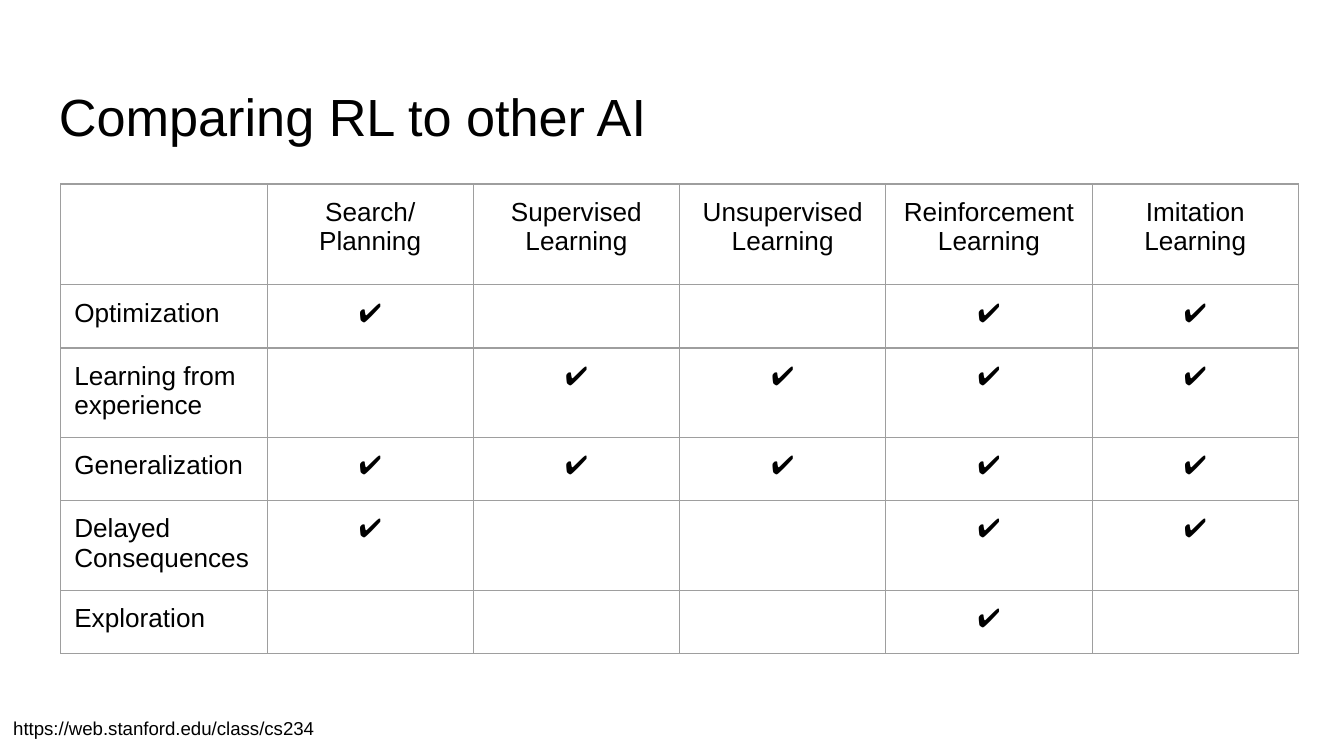
from pptx import Presentation
from pptx.dml.color import RGBColor
from pptx.enum.text import PP_ALIGN
from pptx.oxml import parse_xml
from pptx.oxml.ns import nsdecls
from pptx.util import Pt

COLORS = {"text": "000000", "line": "9E9E9E", "page": "FFFFFF"}
INSET = 7.2
HEADS = ["", "Search/ Planning", "Supervised\nLearning", "Unsupervised Learning",
         "Reinforcement Learning", "Imitation Learning"]
# Each row: label, height, columns that hold a check mark
TRAITS = [
    ("Optimization", 33.8, {1, 4, 5}),
    ("Learning from experience", 45.4, {2, 3, 4, 5}),
    ("Generalization", 33.8, {1, 2, 3, 4, 5}),
    ("Delayed Consequences", 45.4, {1, 4, 5}),
    ("Exploration", 33.8, {4}),
]


def set_all(target, values):
    for name, value in values.items():
        setattr(target, name, value)


def write(frame, text, size, align=PP_ALIGN.LEFT, top=INSET):
    """Fill a text frame; each line of text becomes a paragraph."""
    set_all(frame, {"word_wrap": True, "margin_left": Pt(INSET), "margin_right": Pt(INSET),
                    "margin_top": Pt(top), "margin_bottom": Pt(INSET)})
    frame.text = text
    for para in frame.paragraphs:
        para.alignment = align
        for run in para.runs:
            set_all(run.font, {"name": "Arial", "size": Pt(size)})
            run.font.color.rgb = RGBColor.from_string(COLORS["text"])


def add_label(slide, box, text, size, top=INSET):
    shape = slide.shapes.add_textbox(*map(Pt, box))
    write(shape.text_frame, text, size, top=top)


def add_edges(cell):
    props = cell._tc.get_or_add_tcPr()
    for index, side in enumerate(("lnL", "lnR", "lnT", "lnB")):
        props.insert(index, parse_xml(
            f'<a:{side} {nsdecls("a")} w="{Pt(0.75)}"><a:solidFill>'
            f'<a:srgbClr val="{COLORS["line"]}"/></a:solidFill></a:{side}>'))


def add_matrix(slide, box):
    left, top, width, height = box
    rows = [HEADS] + [
        [label] + ["✔" if col in marks else "" for col in range(1, len(HEADS))]
        for label, _, marks in TRAITS]
    sizes = [54] + [size for _, size, _ in TRAITS]
    frame = slide.shapes.add_table(len(rows), len(HEADS), Pt(left), Pt(top),
                                   Pt(width), Pt(height))
    table = frame.table
    set_all(table, {"first_row": False, "horz_banding": False})
    for col in table.columns:
        col.width = Pt(width / len(HEADS))
    for row, size, texts in zip(table.rows, sizes, rows):
        row.height = Pt(size)
        for index, (cell, text) in enumerate(zip(row.cells, texts)):
            cell.fill.background()
            add_edges(cell)
            if text:
                set_all(cell, {"margin_left": Pt(INSET), "margin_right": Pt(INSET),
                               "margin_top": Pt(INSET), "margin_bottom": Pt(INSET)})
                write(cell.text_frame, text, 14,
                      PP_ALIGN.CENTER if index else PP_ALIGN.LEFT)


def main():
    deck = Presentation()
    set_all(deck, {"slide_width": Pt(720), "slide_height": Pt(405)})
    slide = deck.slides.add_slide(deck.slide_layouts[6])
    slide.background.fill.solid()
    slide.background.fill.fore_color.rgb = RGBColor.from_string(COLORS["page"])
    add_label(slide, (24.5, 35.3, 671, 45.4), "Comparing RL to other AI", 28, top=10)
    add_matrix(slide, (32.6, 98.6, 663, 246.2))
    add_label(slide, (0, 378, 306.7, 26.6), "https://web.stanford.edu/class/cs234", 10)
    deck.save("out.pptx")


if __name__ == "__main__":
    main()
